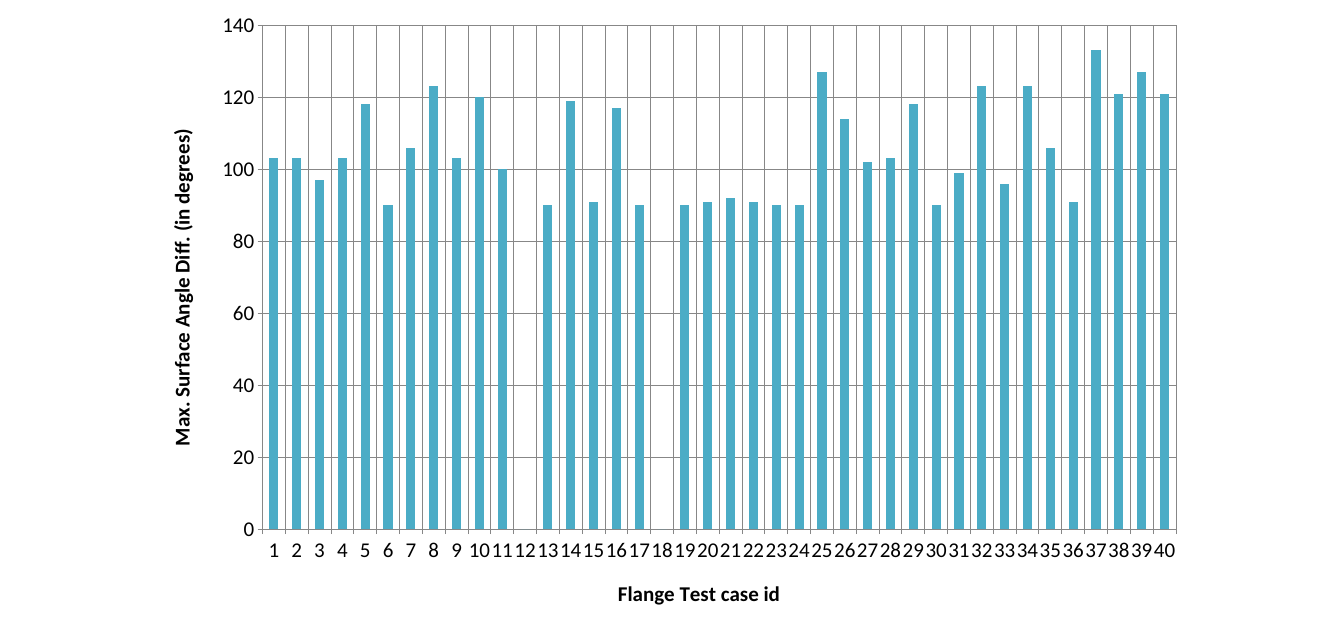
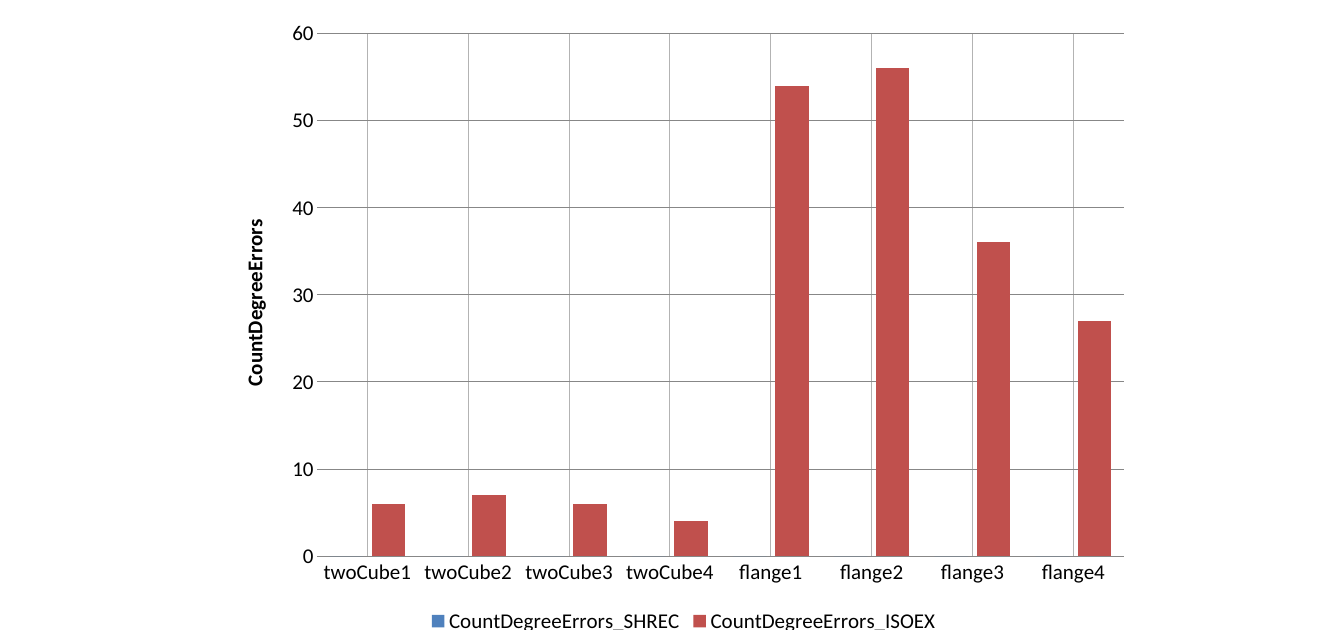
from dataclasses import dataclass
from typing import Optional

from lxml.etree import SubElement
from pptx import Presentation
from pptx.chart.data import CategoryChartData
from pptx.dml.color import RGBColor
from pptx.enum.chart import XL_CHART_TYPE, XL_LEGEND_POSITION, XL_TICK_MARK
from pptx.oxml import parse_xml
from pptx.oxml.ns import nsdecls, qn
from pptx.util import Pt

# Shared style
COLORS = {
    "text": "000000",
    "axis": "878787",
    "minor": "B3B3B3",
    "teal": "4BACC6",
    "blue": "4F81BD",
    "red": "C0504D",
}
TEXT = {"name": "Calibri", "size": Pt(18), "bold": False}
TITLE = {**TEXT, "bold": True}
LINE_WIDTH = Pt(0.75)


@dataclass
class Series:
    name: str
    values: list[int]
    color: str


@dataclass
class BarChart:
    box: tuple[float, float, float, float]
    plot: tuple[float, float, float, float]  # x, y, w, h as parts of the chart
    categories: list[str]
    series: list[Series]
    value_title: str
    top: int
    step: int
    gap: int
    overlap: int = 0
    category_title: Optional[str] = None
    ticks: XL_TICK_MARK = XL_TICK_MARK.NONE
    category_grid: bool = False
    minor_grid: bool = False
    value_line: bool = True
    legend: bool = False


FLANGE_ANGLES = [
    103, 103, 97, 103, 118, 90, 106, 123, 103, 120,
    100, 0, 90, 119, 91, 117, 90, 0, 90, 91,
    92, 91, 90, 90, 127, 114, 102, 103, 118, 90,
    99, 123, 96, 123, 106, 91, 133, 121, 127, 121,
]
MODELS = [f"{kind}{i}" for kind in ("twoCube", "flange") for i in range(1, 5)]

CHARTS = [
    BarChart(
        box=(126, 0, 900, 540),
        plot=(0.11, 0.04, 0.87, 0.8),
        categories=[str(i) for i in range(1, len(FLANGE_ANGLES) + 1)],
        series=[Series("Series 1", FLANGE_ANGLES, "teal")],
        value_title="Max. Surface Angle Diff. (in degrees)",
        category_title="Flange Test case id",
        top=140, step=20, gap=150,
        ticks=XL_TICK_MARK.OUTSIDE, category_grid=True,
    ),
    BarChart(
        box=(193, 7, 786, 540),
        plot=(0.1, 0.04, 0.88, 0.83),
        categories=MODELS,
        series=[
            Series("CountDegreeErrors_SHREC", [0] * len(MODELS), "blue"),
            Series("CountDegreeErrors_ISOEX", [6, 7, 6, 4, 54, 56, 36, 27], "red"),
        ],
        value_title="CountDegreeErrors",
        top=60, step=10, gap=75, overlap=-25,
        minor_grid=True, value_line=False, legend=True,
    ),
]


def rgb(name: str) -> RGBColor:
    return RGBColor.from_string(COLORS[name])


def set_font(font, style: dict) -> None:
    for key, value in style.items():
        setattr(font, key, value)
    font.color.rgb = rgb("text")


def set_line(line, color: str) -> None:
    line.width = LINE_WIDTH
    line.color.rgb = rgb(color)


def set_minor_grid(axis, color: str) -> None:
    axis.has_minor_gridlines = True
    grid = axis._element.find(qn("c:minorGridlines"))
    grid.append(parse_xml(
        f'<c:spPr {nsdecls("c", "a")}><a:ln w="{int(LINE_WIDTH)}"><a:solidFill>'
        f'<a:srgbClr val="{COLORS[color]}"/></a:solidFill></a:ln></c:spPr>'))


def set_axis_title(axis, text: str) -> None:
    tf = axis.axis_title.text_frame
    tf.text = text
    set_font(tf.paragraphs[0].runs[0].font, TITLE)


def set_plot_area(chart, plot: tuple[float, float, float, float]) -> None:
    area = chart.plots[0]._element.getparent()
    for old in area.findall(qn("c:layout")):
        area.remove(old)
    layout = parse_xml(f"<c:layout {nsdecls('c')}><c:manualLayout/></c:layout>")
    fields = [("layoutTarget", "inner"), ("xMode", "edge"), ("yMode", "edge")]
    fields += [(key, str(part)) for key, part in zip("xywh", plot)]
    for tag, value in fields:
        SubElement(layout[0], qn(f"c:{tag}")).set("val", value)
    area.insert(0, layout)


def add_bar_chart(slide, bc: BarChart) -> None:
    data = CategoryChartData()
    data.categories = bc.categories
    for series in bc.series:
        data.add_series(series.name, series.values)
    chart = slide.shapes.add_chart(
        XL_CHART_TYPE.COLUMN_CLUSTERED, *map(Pt, bc.box), data).chart
    chart.has_title = False
    set_font(chart.font, TEXT)
    set_plot_area(chart, bc.plot)

    # Bars
    bars = chart.plots[0]
    bars.vary_by_categories = False
    bars.gap_width, bars.overlap = bc.gap, bc.overlap
    for bar, series in zip(bars.series, bc.series):
        bar.format.fill.solid()
        bar.format.fill.fore_color.rgb = rgb(series.color)

    # Axes and grid
    cat, val = chart.category_axis, chart.value_axis
    for axis in (cat, val):
        axis.major_tick_mark = bc.ticks
        axis.minor_tick_mark = XL_TICK_MARK.NONE
        set_font(axis.tick_labels.font, TEXT)
        set_line(axis.format.line, "axis")
    val.minimum_scale, val.maximum_scale, val.major_unit = 0, bc.top, bc.step
    set_line(val.major_gridlines.format.line, "axis")
    if bc.category_grid:
        set_line(cat.major_gridlines.format.line, "axis")
    if bc.minor_grid:
        set_minor_grid(cat, "minor")
    if not bc.value_line:
        val.format.line.fill.background()
    set_axis_title(val, bc.value_title)
    if bc.category_title:
        set_axis_title(cat, bc.category_title)
    cat.has_major_gridlines = bc.category_grid

    # Legend
    chart.has_legend = bc.legend
    if bc.legend:
        chart.legend.position = XL_LEGEND_POSITION.BOTTOM
        chart.legend.include_in_layout = False
        set_font(chart.legend.font, TEXT)


def main() -> None:
    prs = Presentation()
    prs.slide_width, prs.slide_height = Pt(1152), Pt(540)
    for bc in CHARTS:
        add_bar_chart(prs.slides.add_slide(prs.slide_layouts[6]), bc)
    prs.save("out.pptx")


if __name__ == "__main__":
    main()
